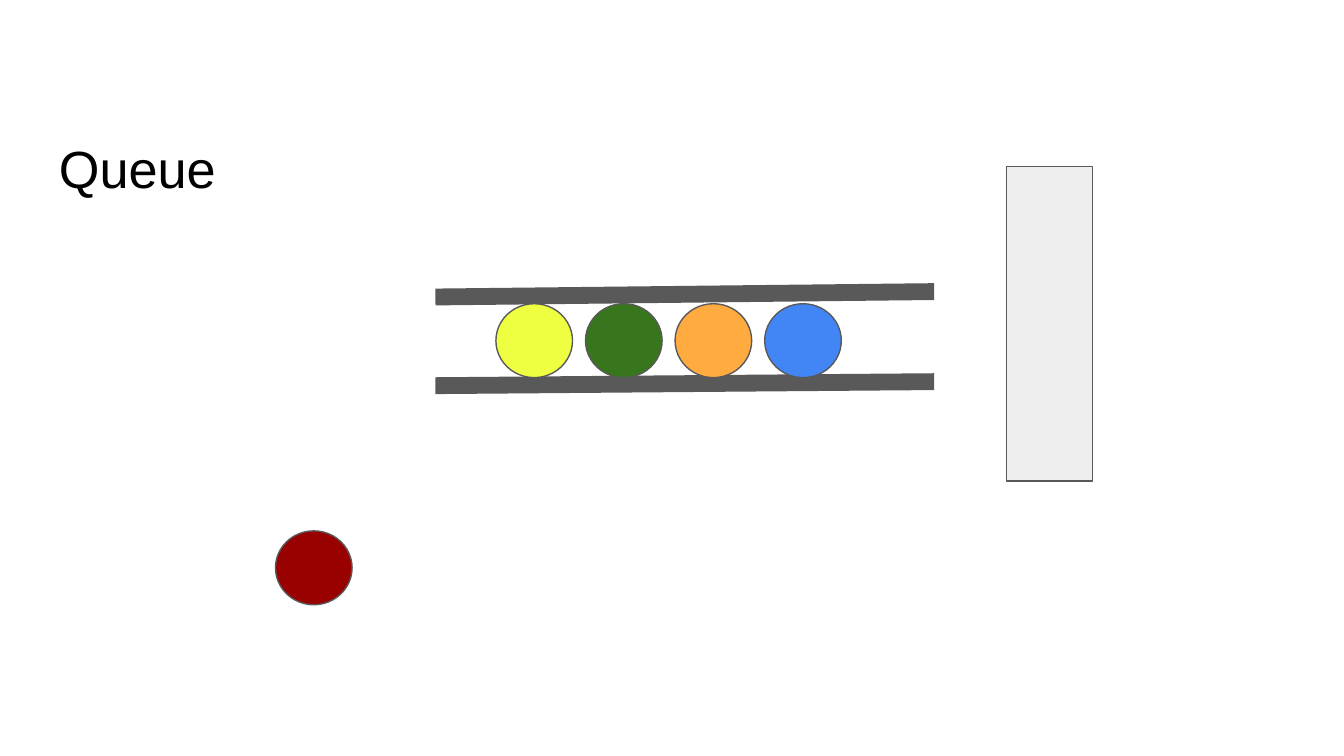
from dataclasses import dataclass

from lxml.etree import SubElement
from pptx import Presentation
from pptx.dml.color import RGBColor
from pptx.enum.shapes import MSO_CONNECTOR, MSO_SHAPE
from pptx.enum.text import MSO_ANCHOR
from pptx.oxml.ns import qn
from pptx.util import Inches, Pt


@dataclass(frozen=True)
class Theme:
    font: str = "Arial"
    title_size: float = 28
    text: str = "000000"
    outline: str = "595959"
    panel: str = "EEEEEE"
    waiting: str = "990000"
    queued: tuple = ("EEFF41", "38761D", "FFAB40", "4285F4")
    outline_width: float = 0.75
    rail_width: float = 9


THEME = Theme()
BALL_WIDTH, BALL_HEIGHT = 0.57, 0.55
BALL_STEP = 2 / 3


def add_outlined(page, kind, left, top, width, height, fill):
    shape = page.shapes.add_shape(
        kind, Inches(left), Inches(top), Inches(width), Inches(height))
    shape.shadow.inherit = False
    shape.fill.solid()
    shape.fill.fore_color.rgb = RGBColor.from_string(fill)
    shape.line.color.rgb = RGBColor.from_string(THEME.outline)
    shape.line.width = Pt(THEME.outline_width)


def add_ball(page, left, top, fill):
    add_outlined(page, MSO_SHAPE.OVAL, left, top, BALL_WIDTH, BALL_HEIGHT, fill)


def add_rail(page, left, top, width, rise):
    rail = page.shapes.add_connector(
        MSO_CONNECTOR.STRAIGHT, Inches(left), Inches(top),
        Inches(left + width), Inches(top - rise))
    rail.line.color.rgb = RGBColor.from_string(THEME.outline)
    rail.line.width = Pt(THEME.rail_width)
    SubElement(rail._element.spPr, qn("a:effectLst"))


def add_title(page, left, top, width, height, text):
    box = page.shapes.add_textbox(
        Inches(left), Inches(top), Inches(width), Inches(height))
    frame = box.text_frame
    frame.word_wrap = True
    frame.vertical_anchor = MSO_ANCHOR.BOTTOM
    frame.margin_left = frame.margin_right = Inches(0.1)
    frame.margin_top = frame.margin_bottom = Inches(0.1)
    frame.text = text
    font = frame.paragraphs[0].runs[0].font
    font.name = THEME.font
    font.size = Pt(THEME.title_size)
    font.color.rgb = RGBColor.from_string(THEME.text)


def add_queue(page, left, top, width, height):
    # Two slightly rising rails
    add_rail(page, left, top, width, 0.04)
    add_rail(page, left, top + height, width, 0.03)
    # Evenly spaced balls between the rails
    for index, color in enumerate(THEME.queued):
        add_ball(page, left + 0.45 + index * BALL_STEP, top + 0.05, color)


def main():
    deck = Presentation()
    deck.slide_width = Inches(10)
    deck.slide_height = deck.slide_width * 9 // 16
    page = deck.slides.add_slide(deck.slide_layouts[6])

    add_title(page, 0.34, 0.82, 9.32, 0.76, "Queue")
    add_queue(page, 3.24, 2.21, 3.71, 0.66)
    # Destination panel
    add_outlined(page, MSO_SHAPE.RECTANGLE, 7.49, 1.24, 0.64, 2.34, THEME.panel)
    # Ball waiting to join
    add_ball(page, 2.05, 3.95, THEME.waiting)

    deck.save("out.pptx")


if __name__ == "__main__":
    main()
